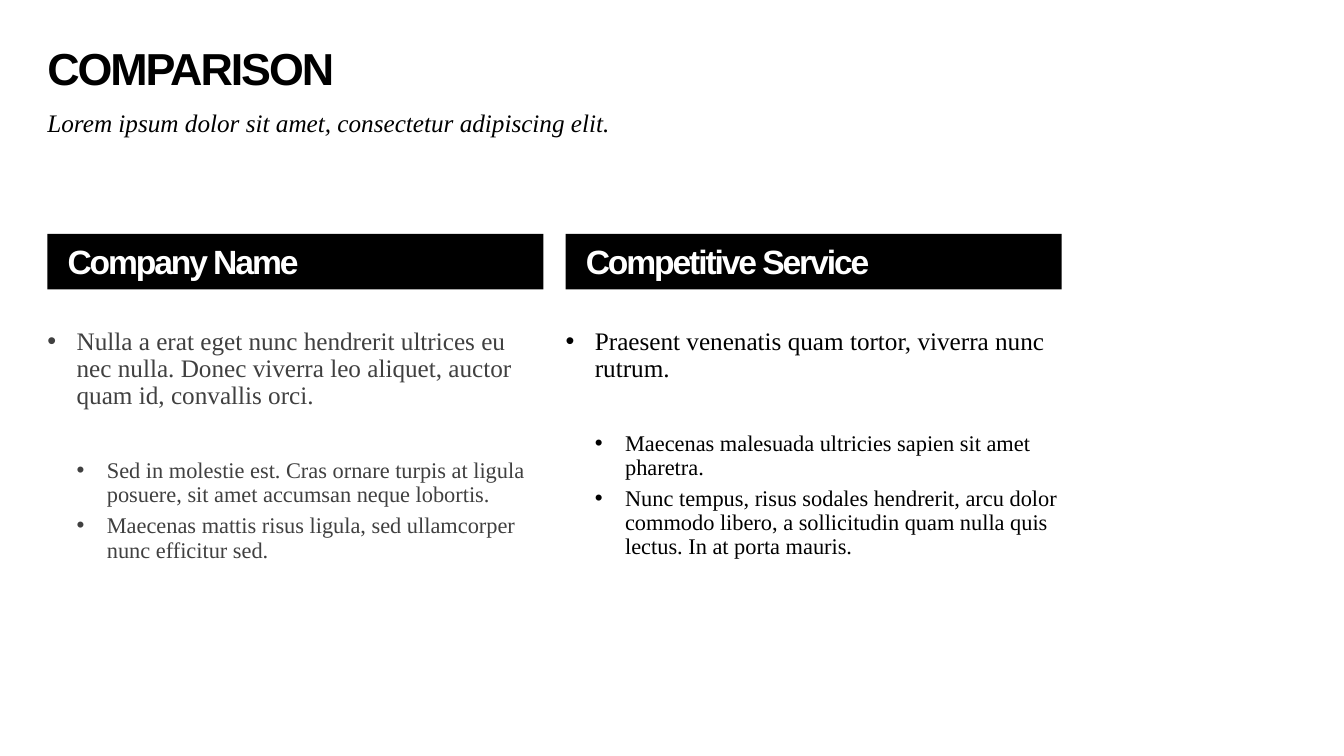
from pptx import Presentation
from pptx.dml.color import RGBColor
from pptx.enum.shapes import MSO_SHAPE
from pptx.enum.text import MSO_ANCHOR, PP_ALIGN
from pptx.oxml.ns import qn
from pptx.util import Inches, Pt
from lxml import etree

RECTANGLE = MSO_SHAPE.RECTANGLE
MIDDLE = MSO_ANCHOR.MIDDLE
LEFT = PP_ALIGN.LEFT

COLORS = {"black": "000000", "white": "FFFFFF", "gray": "404040"}
HEADING_FONT = "Arial"
BODY_FONT = "Times New Roman"
MARGIN = 0.47
COLUMN_WIDTH = 4.92
COLUMN_STEP = 5.14

COLUMNS = [
    ("Company Name", "gray", [
        "Nulla a erat eget nunc hendrerit ultrices eu nec nulla. Donec viverra leo aliquet, auctor quam id, convallis orci.",
        "Sed in molestie est. Cras ornare turpis at ligula posuere, sit amet accumsan neque lobortis.",
        "Maecenas mattis risus ligula, sed ullamcorper nunc efficitur sed.",
    ]),
    ("Competitive Service", "black", [
        "Praesent venenatis quam tortor, viverra nunc rutrum.",
        "Maecenas malesuada ultricies sapien sit amet pharetra.",
        "Nunc tempus, risus sodales hendrerit, arcu dolor commodo libero, a sollicitudin quam nulla quis lectus. In at porta mauris.",
    ]),
]
BULLET_LEVELS = [(0, 18, 0.29, 0.29, 0), (1, 16, 0.59, 0.3, 35), (1, 16, 0.59, 0.3, 5)]


def prepare_frame(shape, left_inset=0, top_inset=0):
    frame = shape.text_frame
    frame.word_wrap = True
    frame.margin_left, frame.margin_top = Inches(left_inset), Inches(top_inset)
    frame.margin_right = frame.margin_bottom = 0
    return frame


def style_paragraph(paragraph, font_name, size, color, heading=False):
    paragraph.alignment = LEFT
    paragraph.line_spacing = 0.9
    for run in paragraph.runs:
        run.font.name = font_name
        run.font.size = Pt(size)
        run.font.bold = heading
        run.font.color.rgb = RGBColor.from_string(COLORS[color])
        if heading:
            run._r.get_or_add_rPr().set("spc", "-150")


prs = Presentation()
prs.slide_width, prs.slide_height = Inches(13.33), Inches(7.5)
slide = prs.slides.add_slide(prs.slide_layouts[6])

title = prepare_frame(slide.shapes.add_textbox(Inches(MARGIN), Inches(0.47), Inches(10.06), Inches(0.47)))
title.vertical_anchor = MIDDLE
title.text = "COMPARISON"
style_paragraph(title.paragraphs[0], HEADING_FONT, 32, "black", heading=True)

subtitle = prepare_frame(slide.shapes.add_textbox(Inches(MARGIN), Inches(1.1), Inches(10.06), Inches(0.39)))
subtitle.text = "Lorem ipsum dolor sit amet, consectetur adipiscing elit."
style_paragraph(subtitle.paragraphs[0], BODY_FONT, 18, "black")
subtitle.paragraphs[0].runs[0].font.italic = True

for index, (heading, color, points) in enumerate(COLUMNS):
    left = Inches(MARGIN + index * COLUMN_STEP)

    banner = slide.shapes.add_shape(RECTANGLE, left, Inches(2.32), Inches(COLUMN_WIDTH), Inches(0.55))
    banner.shadow.inherit = False
    banner.fill.solid()
    banner.fill.fore_color.rgb = RGBColor.from_string(COLORS["black"])
    banner.line.fill.background()
    banner_text = prepare_frame(banner, 0.2, 0.04)
    banner_text.vertical_anchor = MIDDLE
    banner_text.text = heading
    style_paragraph(banner_text.paragraphs[0], HEADING_FONT, 24, "white", heading=True)

    details = prepare_frame(slide.shapes.add_textbox(left, Inches(3.26), Inches(COLUMN_WIDTH), Inches(2.76)))
    details.text = "\n".join(points)
    for paragraph, (level, size, indent, hanging, space) in zip(details.paragraphs, BULLET_LEVELS):
        properties = paragraph._p.get_or_add_pPr()
        properties.set("marL", str(Inches(indent)))
        properties.set("indent", str(-Inches(hanging)))
        etree.SubElement(properties, qn("a:buFont")).set("typeface", HEADING_FONT)
        etree.SubElement(properties, qn("a:buChar")).set("char", "•")
        paragraph.level = level
        paragraph.space_before = Pt(space)
        style_paragraph(paragraph, BODY_FONT, size, color)

prs.save("out.pptx")
